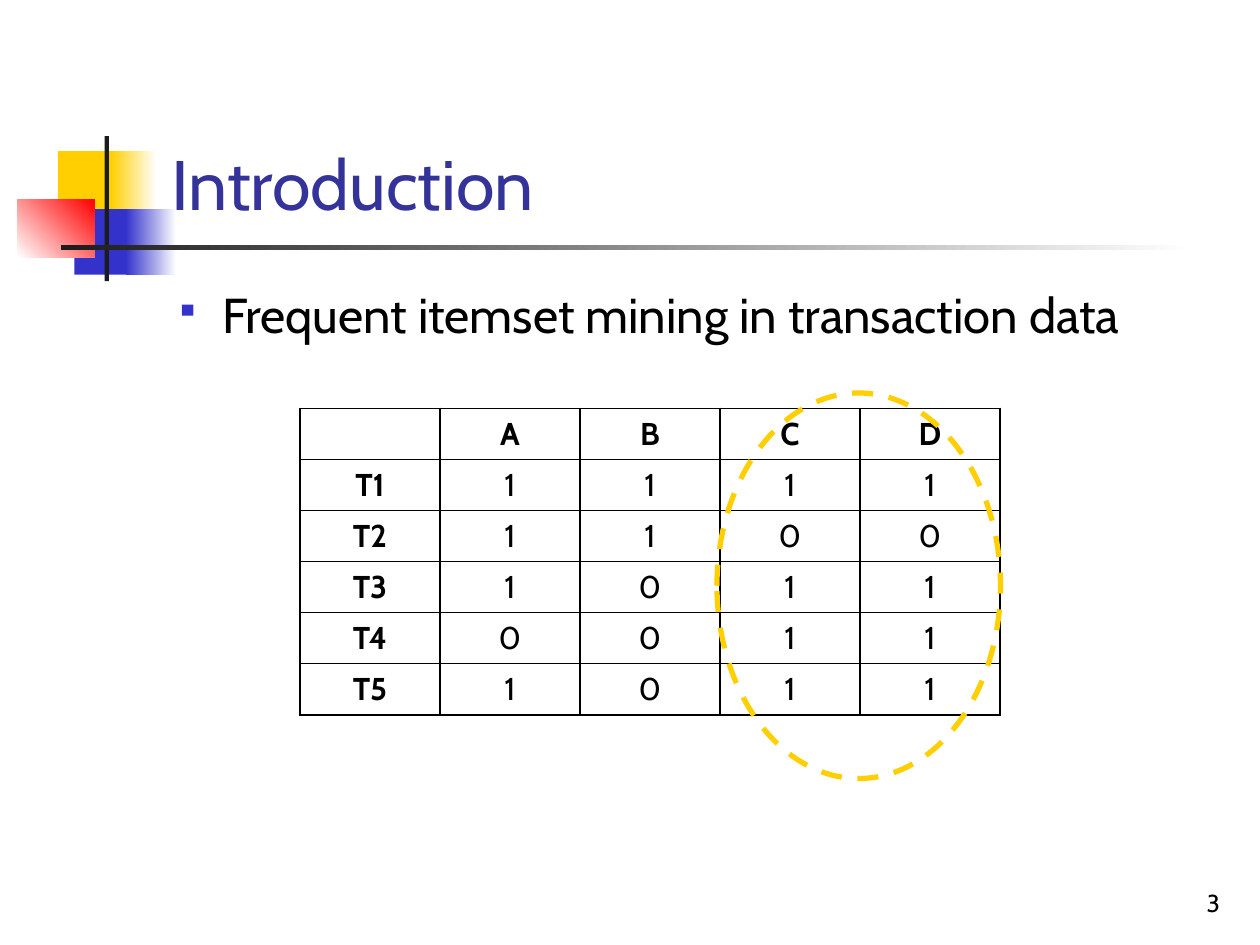
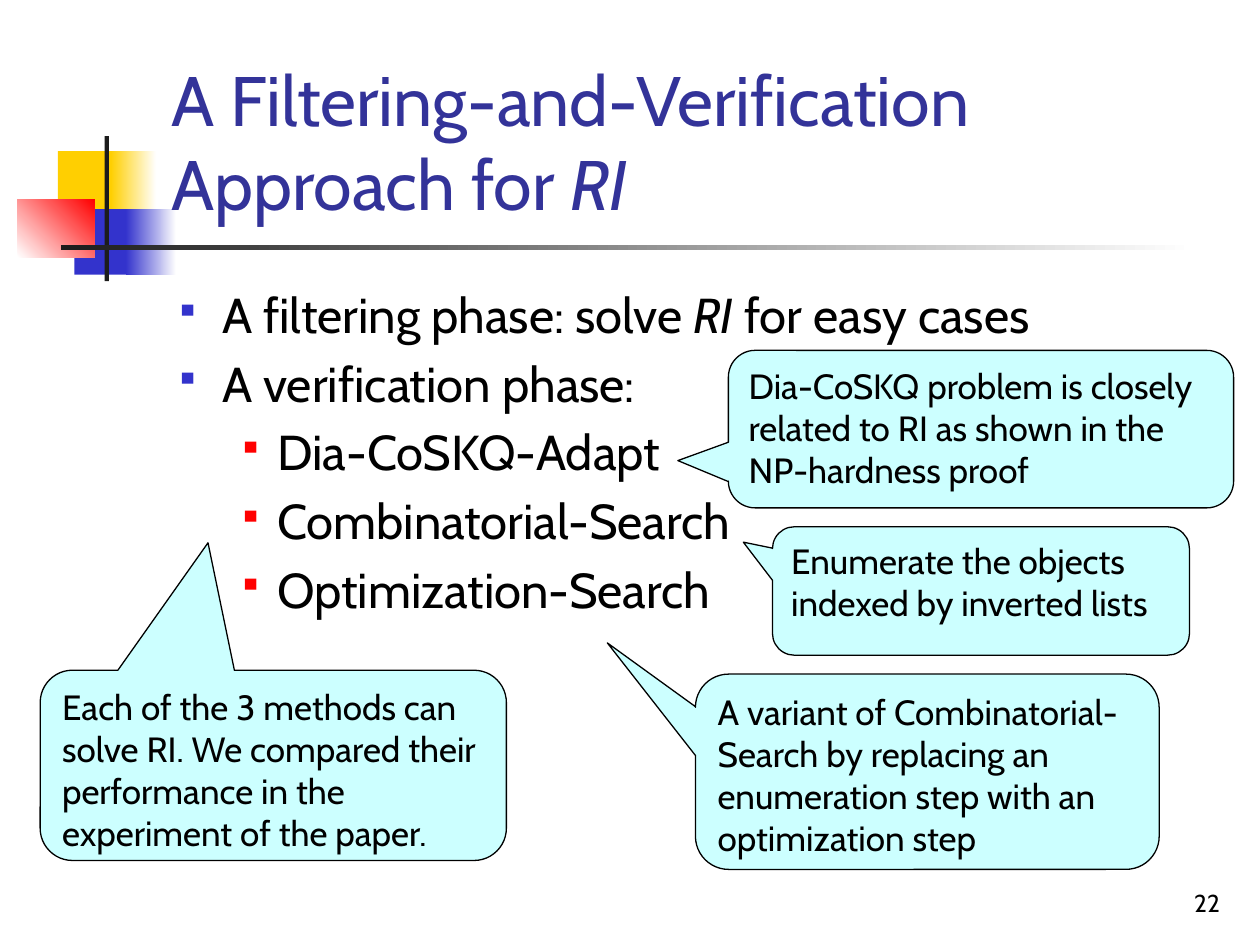
from dataclasses import dataclass

from lxml import etree
from pptx import Presentation
from pptx.dml.color import RGBColor
from pptx.enum.dml import MSO_LINE
from pptx.enum.shapes import MSO_SHAPE
from pptx.enum.text import MSO_ANCHOR, MSO_AUTO_SIZE, PP_ALIGN
from pptx.oxml.ns import qn
from pptx.util import Pt

RECT, OVAL = MSO_SHAPE.RECTANGLE, MSO_SHAPE.OVAL
CALLOUT = MSO_SHAPE.ROUNDED_RECTANGULAR_CALLOUT
LEFT, CENTER, RIGHT = PP_ALIGN.LEFT, PP_ALIGN.CENTER, PP_ALIGN.RIGHT
TOP, MIDDLE, BOTTOM = MSO_ANCHOR.TOP, MSO_ANCHOR.MIDDLE, MSO_ANCHOR.BOTTOM
DASH = MSO_LINE.DASH
NO_FIT = MSO_AUTO_SIZE.NONE


@dataclass(frozen=True)
class Theme:
    font: str = "Cabin"
    ink: str = "000000"
    title: str = "333399"
    yellow: str = "FFCF01"
    blue: str = "3333CC"
    red: str = "FF0000"
    dark: str = "1C1C1C"
    white: str = "FFFFFF"
    note: str = "CCFFFF"
    title_size: float = 40
    body_size: float = 28
    note_size: float = 20
    cell_size: float = 18
    page_size: float = 14


theme = Theme()


def write(para, text, size, color=theme.ink, align=LEFT, bold=False):
    """Fill a paragraph; text between asterisks is italic."""
    for i, part in enumerate(text.split("*")):
        run = para.add_run()
        run.text = part
        if i % 2:
            run.font.italic = True
    para.alignment = align
    font = para.font
    font.name, font.size, font.bold = theme.font, Pt(size), bold
    font.color.rgb = RGBColor.from_string(color)


def draw(slide, kind, box, fill=None, angle=0):
    """Add a shape without a line; fill is a colour, a gradient pair or None."""
    shape = slide.shapes.add_shape(kind, *map(Pt, box))
    shape.shadow.inherit = False
    shape.line.fill.background()
    if fill is None:
        shape.fill.background()
    elif isinstance(fill, tuple):
        shape.fill.gradient()
        shape.fill.gradient_angle = angle
        for stop, color in zip(shape.fill.gradient_stops, fill):
            stop.color.rgb = RGBColor.from_string(color)
    else:
        shape.fill.solid()
        shape.fill.fore_color.rgb = RGBColor.from_string(fill)
    return shape


# Shared layout
emblem = [
    ((33.1, 86.4, 34.6, 37.4), theme.yellow, 0),
    ((63.4, 86.4, 25.9, 37.4), (theme.yellow, theme.white), 0),
    ((42.5, 119.5, 33.1, 37.4), theme.blue, 0),
    ((72, 119.5, 28.8, 37.4), (theme.blue, theme.white), 0),
    ((10.1, 113.8, 43.9, 33.1), (theme.white, theme.red), 45),
    ((59.8, 77.8, 2.4, 82.8), theme.dark, 0),
    ((34.6, 140.2, 648, 2.4), (theme.dark, theme.white), 0),
]
title_box = (90.7, 16.6, 613.4, 115.2)
body_box = (92.9, 159.1, 612, 324)
page_box = (554.4, 491.8, 149.8, 36)
levels = [(27, 27, theme.blue), (58.5, 22.5, theme.red)]

pages = [
    ("Introduction", "3", [(0, "Frequent itemset mining in transaction data")]),
    ("A Filtering-and-Verification Approach for *RI*", "22", [
        (0, "A filtering phase: solve *RI* for easy cases"),
        (0, "A verification phase:"),
        (1, "Dia-CoSKQ-Adapt"),
        (1, "Combinatorial-Search"),
        (1, "Optimization-Search"),
    ]),
]

deck = Presentation()
deck.slide_width, deck.slide_height = Pt(720), Pt(540)
slides = []
for heading, number, points in pages:
    slide = deck.slides.add_slide(deck.slide_layouts[5])
    slides.append(slide)
    for box, fill, angle in emblem:
        draw(slide, RECT, box, fill, angle)

    title = slide.shapes.title
    title.element.getparent().append(title.element)
    title.left, title.top, title.width, title.height = map(Pt, title_box)
    body = slide.shapes.add_textbox(*map(Pt, body_box))
    page = slide.shapes.add_textbox(*map(Pt, page_box))
    for shape, anchor in ((title, BOTTOM), (body, TOP), (page, BOTTOM)):
        frame = shape.text_frame
        frame.word_wrap = True
        frame.auto_size = NO_FIT
        frame.vertical_anchor = anchor
    write(title.text_frame.paragraphs[0], heading, theme.title_size, theme.title)
    write(page.text_frame.paragraphs[0], number, theme.page_size, align=RIGHT)

    frame = body.text_frame
    for i, (level, text) in enumerate(points):
        para = frame.add_paragraph() if i else frame.paragraphs[0]
        para.level = level
        para.space_before = Pt(0.2 * theme.body_size)
        margin, hang, color = levels[level]
        props = para._p.get_or_add_pPr()
        props.set("marL", str(Pt(margin)))
        props.set("indent", str(-Pt(hang)))
        tint = etree.SubElement(props, qn("a:buClr"))
        etree.SubElement(tint, qn("a:srgbClr"), val=color)
        etree.SubElement(props, qn("a:buSzPct"), val="70000")
        etree.SubElement(props, qn("a:buChar"), char="▪")
        write(para, text, theme.body_size)

intro, method = slides

# Transaction table
rows = [
    ["", "A", "B", "C", "D"],
    ["T1", "1", "1", "1", "1"],
    ["T2", "1", "1", "0", "0"],
    ["T3", "1", "0", "1", "1"],
    ["T4", "0", "0", "1", "1"],
    ["T5", "1", "0", "1", "1"],
]
wide, high = 80, 29.2
table = intro.shapes.add_table(
    len(rows), len(rows[0]), Pt(171.4), Pt(233.3),
    Pt(wide * len(rows[0])), Pt(high * len(rows))).table
table.first_row = table.horz_banding = False
for col in table.columns:
    col.width = Pt(wide)
for r, row in enumerate(rows):
    table.rows[r].height = Pt(high)
    for c, text in enumerate(row):
        cell = table.cell(r, c)
        cell.fill.background()
        cell.vertical_anchor = MIDDLE
        if text:
            write(cell.text_frame.paragraphs[0], text, theme.cell_size,
                  align=CENTER, bold=r == 0 or c == 0)
        props = cell._tc.get_or_add_tcPr()
        for i, side in enumerate("LRTB"):
            edge = etree.Element(qn("a:ln" + side), w=str(Pt(1)))
            paint = etree.SubElement(edge, qn("a:solidFill"))
            etree.SubElement(paint, qn("a:srgbClr"), val=theme.ink)
            props.insert(i, edge)

ring = draw(intro, OVAL, (409.7, 224.6, 162, 220.3))
ring.line.color.rgb = RGBColor.from_string(theme.yellow)
ring.line.width = Pt(3)
ring.line.dash_style = DASH

# Callouts: box, tail tip, text
notes = [
    ((23, 383, 266.4, 108.7), (-0.14, -1.17),
     "Each of the 3 methods can solve RI. We compared their performance "
     "in the experiment of the paper."),
    ((416.2, 200.2, 288.7, 90), (-0.6, 0.2),
     "Dia-CoSKQ problem is closely related to RI as shown in the "
     "NP-hardness proof"),
    ((397.4, 385.2, 265, 111.6), (-0.69, -0.66),
     "A variant of Combinatorial-Search by replacing an enumeration step "
     "with an optimization step"),
    ((441.4, 301, 238.3, 73.4), (-0.57, -0.38),
     "Enumerate the objects indexed by inverted lists"),
]
for box, tip, text in notes:
    note = draw(method, CALLOUT, box, theme.note)
    note.line.color.rgb = RGBColor.from_string(theme.ink)
    note.line.width = Pt(0.75)
    for i, value in enumerate((*tip, 0.17)):
        note.adjustments[i] = value
    note.text_frame.word_wrap = True
    note.text_frame.vertical_anchor = TOP
    write(note.text_frame.paragraphs[0], text, theme.note_size)

deck.save("out.pptx")
